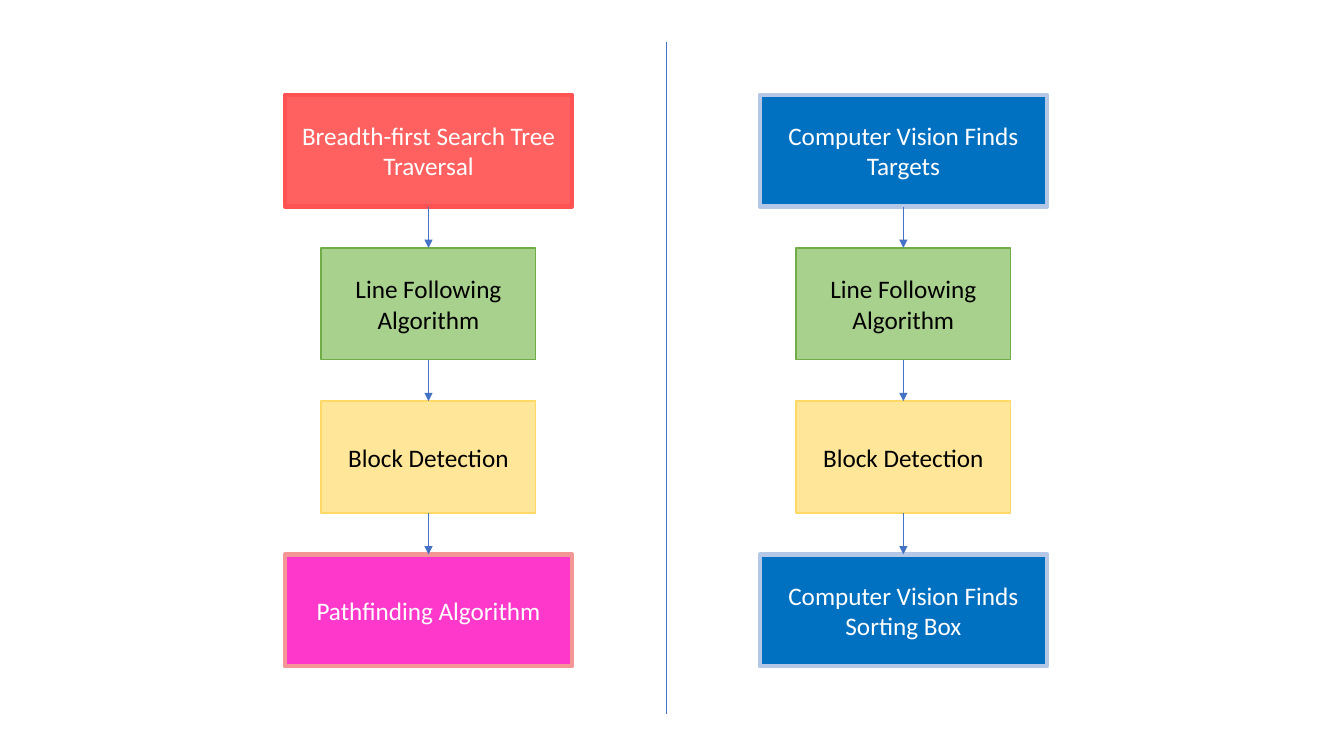
from dataclasses import dataclass

from lxml.etree import SubElement
from pptx import Presentation
from pptx.dml.color import RGBColor
from pptx.enum.shapes import MSO_CONNECTOR, MSO_SHAPE
from pptx.enum.text import MSO_ANCHOR, PP_ALIGN
from pptx.oxml.ns import qn
from pptx.shapes.connector import Connector
from pptx.slide import Slide
from pptx.util import Inches, Pt


@dataclass(frozen=True)
class BoxStyle:
    fill: str
    line: str
    text: str
    width: float  # inches
    line_width: float  # points


@dataclass(frozen=True)
class Theme:
    font: str = "Calibri"
    size: int = 18
    rule: str = "4472C4"
    search: BoxStyle = BoxStyle("FF6161", "FF5353", "FFFFFF", 2.85, 3)
    vision: BoxStyle = BoxStyle("0070C0", "B4C7E7", "FFFFFF", 2.85, 3)
    pathfinding: BoxStyle = BoxStyle("FE38CA", "F49696", "FFFFFF", 2.85, 3)
    following: BoxStyle = BoxStyle("A9D18E", "70AD47", "000000", 2.13, 1)
    detection: BoxStyle = BoxStyle("FFE699", "FFD966", "000000", 2.13, 1)


@dataclass(frozen=True)
class Grid:
    first_center: float = 4.25
    column_pitch: float = 4.71
    top: float = 0.94
    row_pitch: float = 1.52
    box_height: float = 1.11

    def center(self, column: int) -> float:
        return self.first_center + column * self.column_pitch

    def row_top(self, row: int) -> float:
        return self.top + row * self.row_pitch

    def row_bottom(self, row: int) -> float:
        return self.row_top(row) + self.box_height


@dataclass(frozen=True)
class Step:
    text: str
    style: BoxStyle


THEME = Theme()
GRID = Grid()

# Both flows share the two middle steps
SHARED = [
    Step("Line Following Algorithm", THEME.following),
    Step("Block Detection", THEME.detection),
]
FLOWS = [
    [
        Step("Breadth-first Search Tree Traversal", THEME.search),
        *SHARED,
        Step("Pathfinding Algorithm", THEME.pathfinding),
    ],
    [
        Step("Computer Vision Finds Targets", THEME.vision),
        *SHARED,
        Step("Computer Vision Finds Sorting Box", THEME.vision),
    ],
]


def add_step(s: Slide, step: Step, column: int, row: int) -> None:
    style = step.style
    sp = s.shapes.add_shape(
        MSO_SHAPE.RECTANGLE,
        Inches(GRID.center(column) - style.width / 2),
        Inches(GRID.row_top(row)),
        Inches(style.width),
        Inches(GRID.box_height),
    )
    sp.shadow.inherit = False
    sp.fill.solid()
    sp.fill.fore_color.rgb = RGBColor.from_string(style.fill)
    sp.line.color.rgb = RGBColor.from_string(style.line)
    sp.line.width = Pt(style.line_width)

    tf = sp.text_frame
    tf.word_wrap = True
    tf.vertical_anchor = MSO_ANCHOR.MIDDLE
    p = tf.paragraphs[0]
    p.text = step.text
    p.alignment = PP_ALIGN.CENTER
    p.font.name = THEME.font
    p.font.size = Pt(THEME.size)
    p.font.color.rgb = RGBColor.from_string(style.text)


def add_vertical(s: Slide, x: float, top: float, bottom: float, width: float) -> Connector:
    line = s.shapes.add_connector(
        MSO_CONNECTOR.STRAIGHT, Inches(x), Inches(top), Inches(x), Inches(bottom)
    )
    line.line.color.rgb = RGBColor.from_string(THEME.rule)
    line.line.width = Pt(width)
    SubElement(line._element.spPr, qn("a:effectLst"))
    return line


def add_arrow(s: Slide, column: int, row: int) -> None:
    arrow = add_vertical(
        s, GRID.center(column), GRID.row_bottom(row), GRID.row_top(row + 1), 1
    )
    SubElement(arrow.line._get_or_add_ln(), qn("a:tailEnd"), type="triangle")


def main() -> None:
    prs = Presentation()
    prs.slide_width, prs.slide_height = Inches(13.33), Inches(7.5)
    s = prs.slides.add_slide(prs.slide_layouts[6])

    # Flow steps, with an arrow from each to the next
    for column, flow in enumerate(FLOWS):
        for row, step in enumerate(flow):
            add_step(s, step, column, row)
        for row in range(len(flow) - 1):
            add_arrow(s, column, row)

    # Divider between the flows
    add_vertical(s, (GRID.center(0) + GRID.center(1)) / 2, 0.42, 7.08, 0.5)

    prs.save("out.pptx")


if __name__ == "__main__":
    main()
